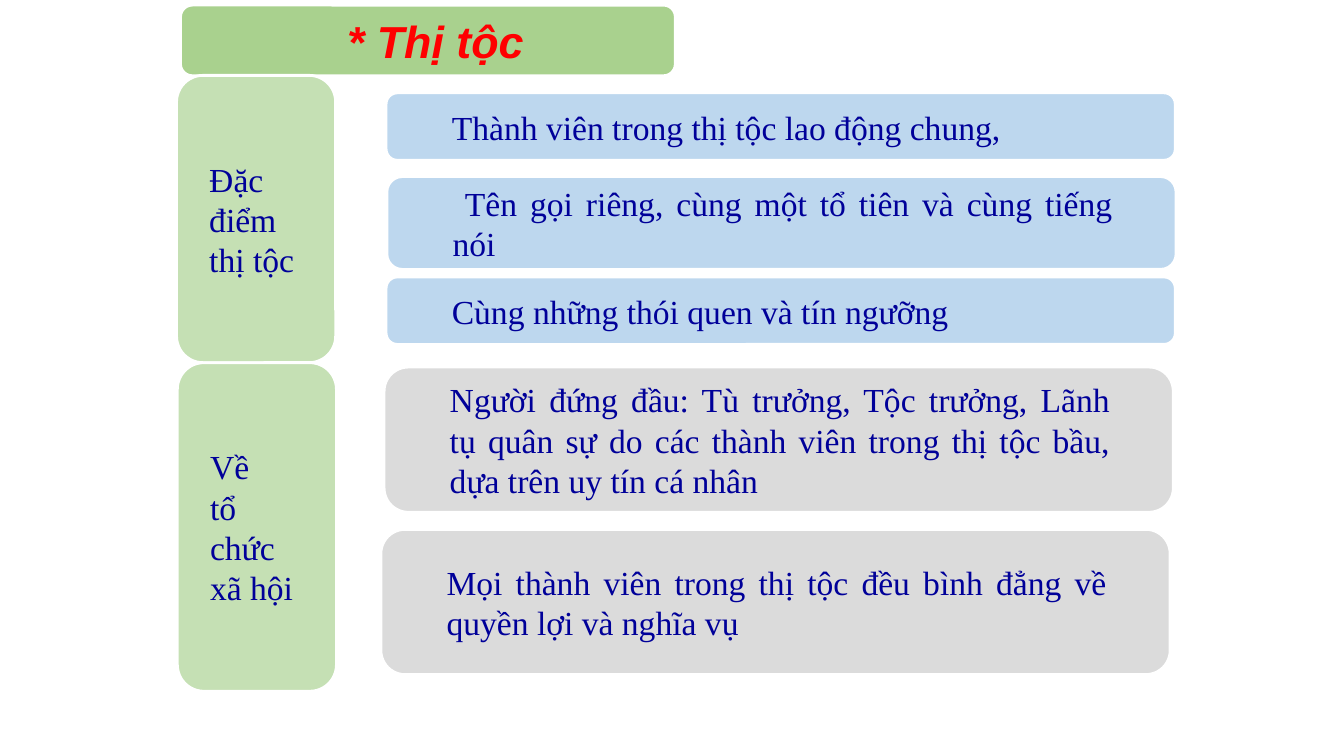
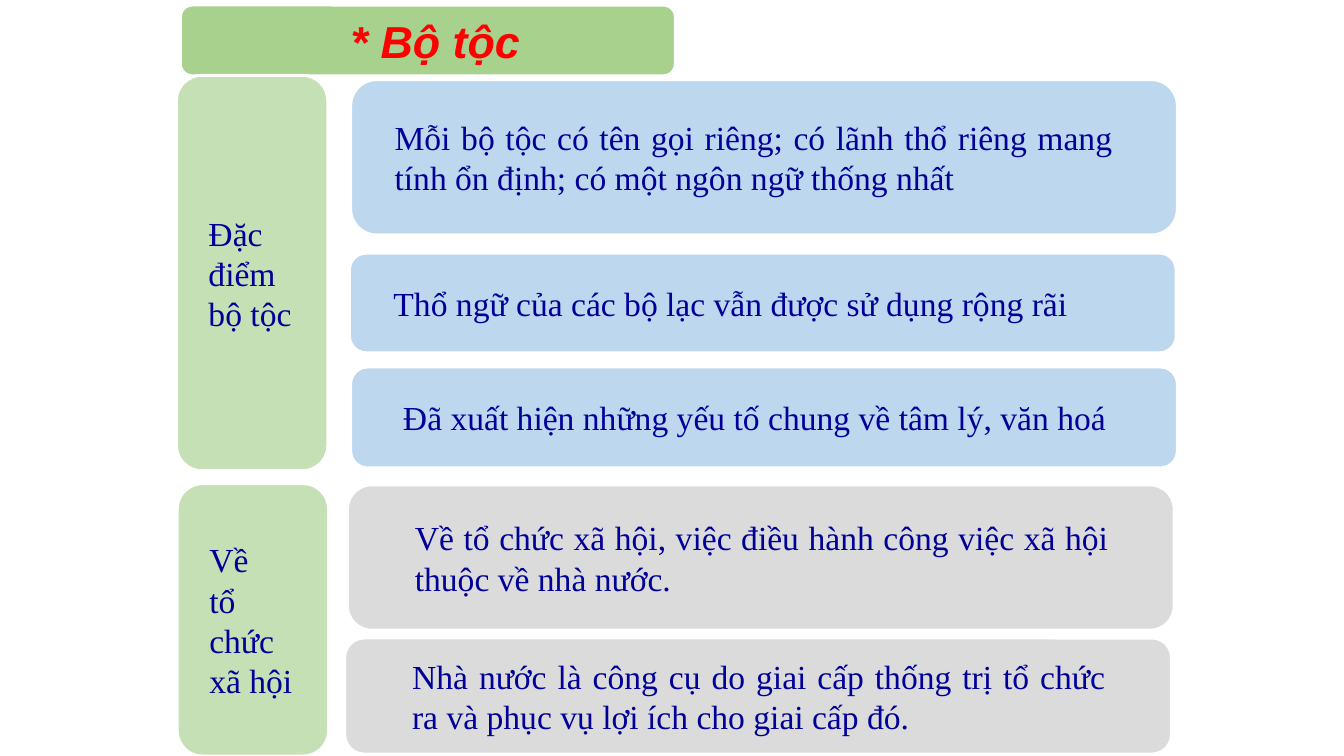
import pptx
import pptx.dml.color
import pptx.enum.shapes
import pptx.enum.text
import pptx.presentation
import pptx.slide
import pptx.util
from dataclasses import dataclass


def colour(code: str) -> pptx.dml.color.RGBColor:
    return pptx.dml.color.RGBColor.from_string(code)


# Shared look
@dataclass(frozen=True)
class Theme:
    title_fill: str = "A9D18E"
    label_fill: str = "C5E0B4"
    trait_fill: str = "BDD7EE"
    society_fill: str = "DBDBDB"
    outline: str = "FFFFFF"
    title_text: str = "FF0000"
    body_text: str = "000099"
    title_font: str = "Arial"
    body_font: str = "Times New Roman"
    title_size: int = 32
    body_size: int = 24
    outline_width: int = 2


THEME = Theme()


# Lengths are in centimetres
@dataclass(frozen=True)
class Style:
    fill: str
    width: float
    pad_left: float
    pad_right: float
    is_title: bool = False


@dataclass(frozen=True)
class Card:
    left: float
    top: float
    height: float
    style: Style
    lines: tuple[str, ...]


TITLE = Style(THEME.title_fill, 12.47, 1.18, 0.8, is_title=True)
SOCIETY_LINES = ("Về", "tổ chức xã hội")
CORNER_INSET = 0.05  # text inset of a rounded corner, share of the short side

# Slide content
CLAN_LABEL = Style(THEME.label_fill, 4.01, 0.83, 0.79)
CLAN_TRAIT = Style(THEME.trait_fill, 19.89, 1.66, 1.6)
CLAN_SOCIETY = Style(THEME.society_fill, 19.89, 1.66, 1.6)
CLAN_CARDS = (
    Card(4.45, 1.9, 7.24, CLAN_LABEL, ("Đặc điểm thị tộc",)),
    Card(9.73, 2.34, 1.7, CLAN_TRAIT, ("Thành viên trong thị tộc lao động chung,",)),
    Card(9.75, 4.45, 2.34, CLAN_TRAIT,
         (" Tên gọi riêng, cùng một tổ tiên và cùng tiếng nói",)),
    Card(9.73, 6.98, 1.7, CLAN_TRAIT, ("Cùng những thói quen và tín ngưỡng",)),
    Card(4.47, 9.14, 8.28, CLAN_LABEL, SOCIETY_LINES),
    Card(9.68, 9.25, 3.66, CLAN_SOCIETY,
         ("Người đứng đầu: Tù trưởng, Tộc trưởng, Lãnh tụ quân sự do các thành viên "
          "trong thị tộc bầu, dựa trên uy tín cá nhân",)),
    Card(9.6, 13.34, 3.66, CLAN_SOCIETY,
         ("Mọi thành viên trong thị tộc đều bình đẳng về quyền lợi và nghĩa vụ",)),
)

TRIBE_LABEL = Style(THEME.label_fill, 3.81, 0.81, 0.79)
TRIBE_TRAIT = Style(THEME.trait_fill, 20.83, 1.11, 1.64)
TRIBE_SOCIETY = Style(THEME.society_fill, 20.83, 1.7, 1.66)
TRIBE_CARDS = (
    Card(4.45, 1.9, 9.96, TRIBE_LABEL, ("Đặc điểm bộ tộc",)),
    Card(8.84, 2.01, 3.91, TRIBE_TRAIT,
         ("Mỗi bộ tộc có tên gọi riêng; có lãnh thổ riêng mang tính ổn định; "
          "có một ngôn ngữ thống nhất",)),
    Card(8.81, 6.38, 2.51, TRIBE_TRAIT,
         ("Thổ ngữ của các bộ lạc vẫn được sử dụng rộng rãi",)),
    Card(8.84, 9.25, 2.54, TRIBE_TRAIT,
         (" Đã xuất hiện những yếu tố chung về tâm lý, văn hoá",)),
    Card(4.47, 12.19, 6.86, TRIBE_LABEL, SOCIETY_LINES),
    Card(8.76, 12.22, 3.66, TRIBE_SOCIETY,
         ("Về tổ chức xã hội, việc điều hành công việc xã hội thuộc về nhà nước.",)),
    Card(8.69, 16.08, 2.92, TRIBE_SOCIETY,
         ("Nhà nước là công cụ do giai cấp thống trị tổ chức ra và phục vụ lợi ích "
          "cho giai cấp đó.",)),
)


def draw_card(page: pptx.slide.Slide, card: Card) -> None:
    style = card.style
    box = page.shapes.add_shape(
        pptx.enum.shapes.MSO_SHAPE.ROUNDED_RECTANGLE,
        pptx.util.Cm(card.left), pptx.util.Cm(card.top),
        pptx.util.Cm(style.width), pptx.util.Cm(card.height))
    box.shadow.inherit = False
    box.fill.solid()
    box.fill.fore_color.rgb = colour(style.fill)
    box.line.color.rgb = colour(THEME.outline)
    box.line.width = pptx.util.Pt(THEME.outline_width)

    # Padding counts from the card's edge
    corner = CORNER_INSET * min(style.width, card.height)
    frame = box.text_frame
    frame.word_wrap = True
    frame.vertical_anchor = pptx.enum.text.MSO_ANCHOR.MIDDLE
    frame.margin_left = pptx.util.Cm(style.pad_left - corner)
    frame.margin_right = pptx.util.Cm(style.pad_right - corner)
    frame.margin_top = frame.margin_bottom = 0

    alignment = pptx.enum.text.PP_ALIGN
    for number, line in enumerate(card.lines):
        para = frame.add_paragraph() if number else frame.paragraphs[0]
        para.alignment = alignment.CENTER if style.is_title else alignment.JUSTIFY
        span = para.add_run()
        span.text = line
        font = span.font
        font.name = THEME.title_font if style.is_title else THEME.body_font
        font.size = pptx.util.Pt(THEME.title_size if style.is_title else THEME.body_size)
        font.bold = font.italic = style.is_title
        font.color.rgb = colour(THEME.title_text if style.is_title else THEME.body_text)


def add_page(deck: pptx.presentation.Presentation, title: str,
             cards: tuple[Card, ...]) -> None:
    page = deck.slides.add_slide(deck.slide_layouts[6])
    draw_card(page, Card(4.55, 0.13, 1.78, TITLE, (title,)))
    for card in cards:
        draw_card(page, card)


def main() -> None:
    deck = pptx.Presentation()
    deck.slide_width = pptx.util.Cm(33.87)
    deck.slide_height = pptx.util.Cm(19.05)
    add_page(deck, "* Thị tộc", CLAN_CARDS)
    add_page(deck, "* Bộ tộc", TRIBE_CARDS)
    deck.save("out.pptx")


if __name__ == "__main__":
    main()
